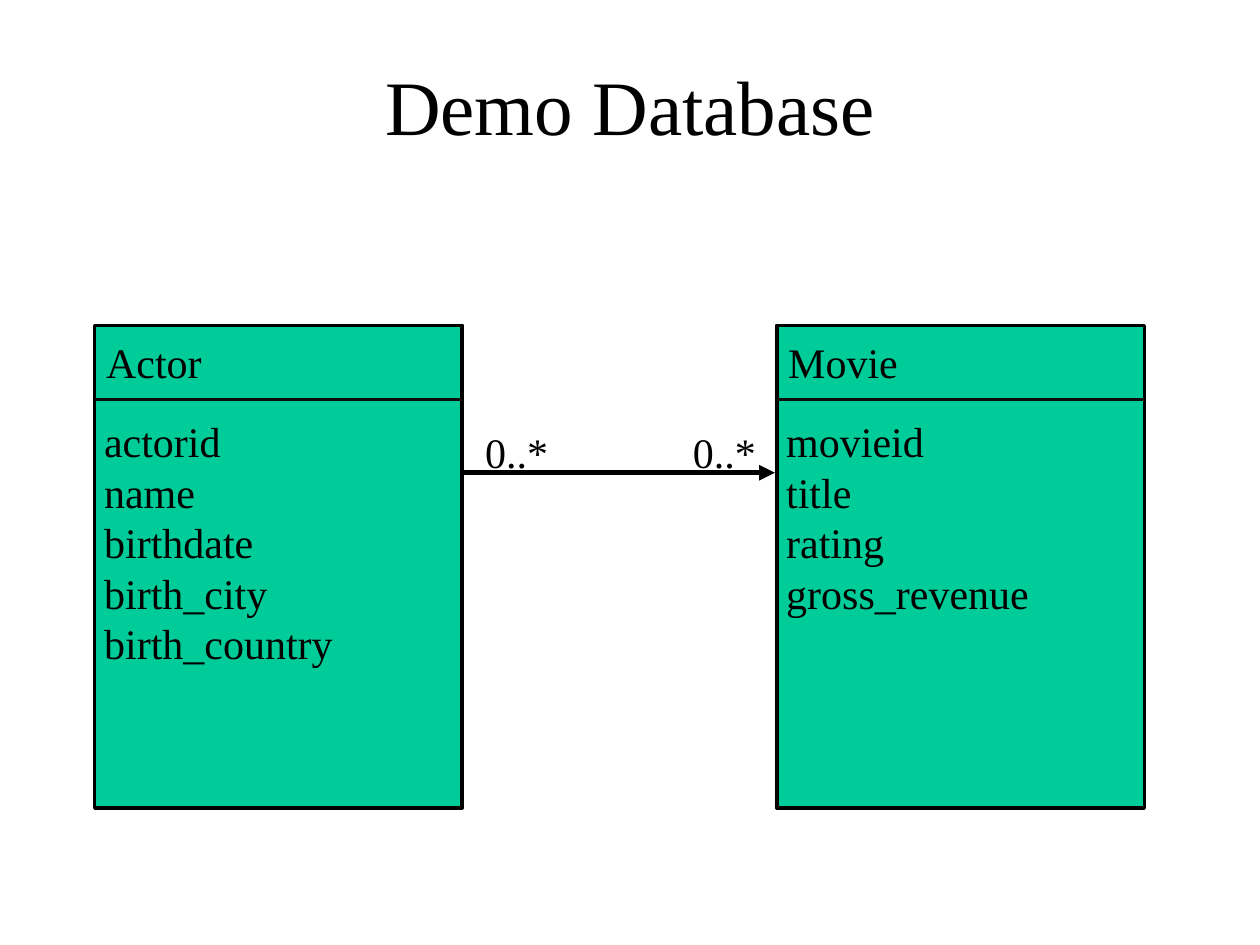
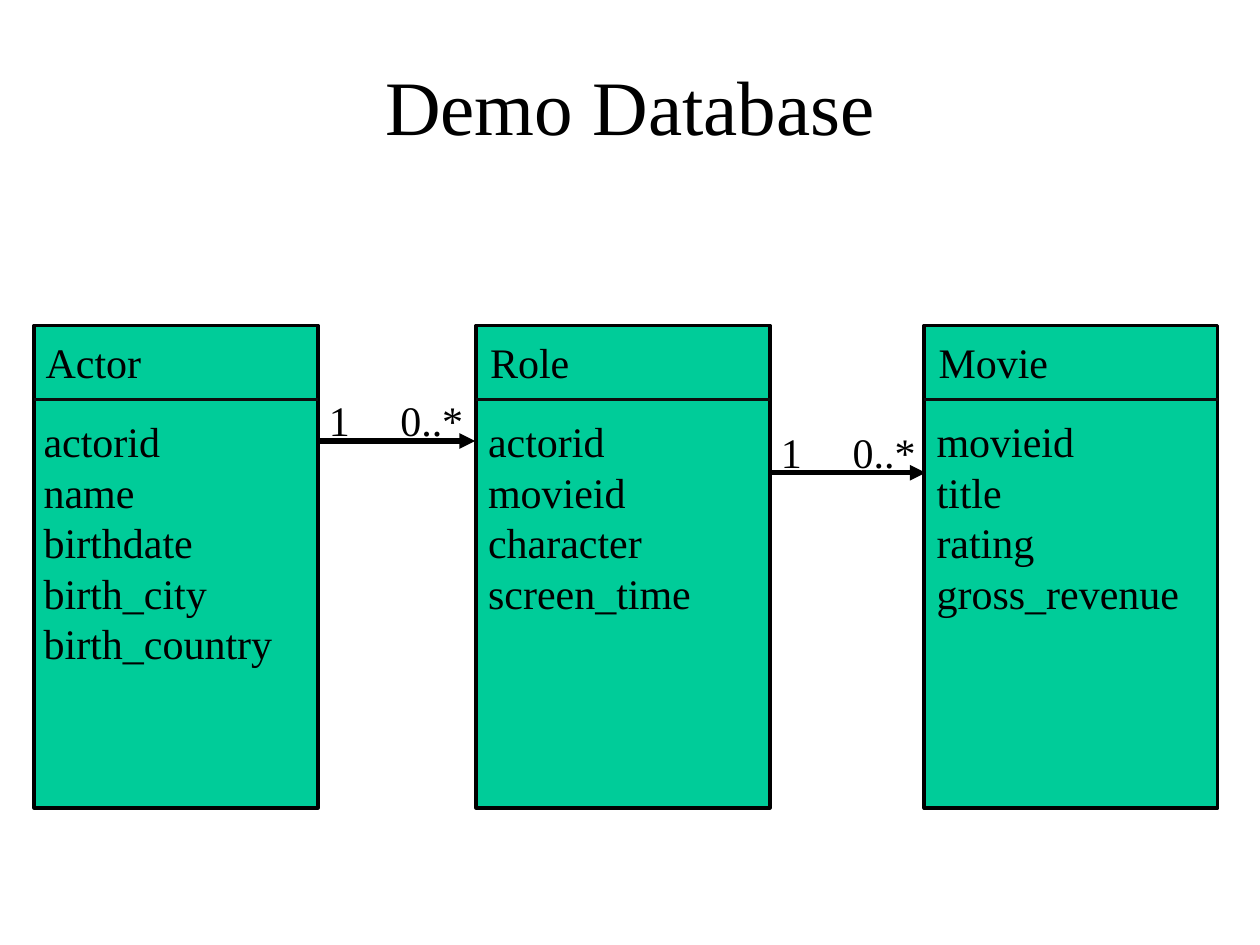
from lxml.etree import SubElement as Sub
from pptx import Presentation as Deck
from pptx.dml.color import RGBColor as Rgb
from pptx.enum.shapes import MSO_CONNECTOR as Conn, MSO_SHAPE as Shape
from pptx.enum.text import MSO_ANCHOR as Anchor, MSO_AUTO_SIZE as Auto, PP_ALIGN as Align
from pptx.oxml.ns import qn
from pptx.util import Cm, Pt

HUES = {"text": "000000", "box": "00CC99", "edge": "000000", "rule": "0D0D0D"}
TITLE = {"name": "Times New Roman", "size": Pt(44)}
BODY = {"name": "Times New Roman", "size": Pt(24)}

# Shared rows of every class box, in cm
TOP, HIGH = 6.56, 9.73
NAME_Y, RULE_Y, LIST_Y = 6.65, 8.05, 8.26
ROW, LABEL_H = 1.02, 1.27

ACTOR = ["actorid", "name", "birthdate", "birth_city", "birth_country"]
MOVIE = ["movieid", "title", "rating", "gross_revenue"]
ROLE = ["actorid", "movieid", "character", "screen_time"]

# Boxes: name, fields, left, width, text shift, text width
# Links: from x, to x, y, then (label, left, width) for each end
SLIDES = [
    {
        "boxes": [
            ("Actor", ACTOR, 1.91, 7.41, -0.02, 7.01),
            ("Movie", MOVIE, 15.66, 7.41, -0.02, 7.01),
        ],
        "links": [
            (9.32, 15.62, 9.53, [("0..*", 9.53, 1.91), ("0..*", 13.72, 1.91)]),
        ],
    },
    {
        "boxes": [
            ("Actor", ACTOR, 0.69, 5.72, -0.02, 5.77),
            ("Role", ROLE, 9.6, 5.92, 0.03, 5.46),
            ("Movie", MOVIE, 18.63, 5.92, 0.04, 5.46),
        ],
        "links": [
            (6.43, 9.58, 8.89, [("1", 6.38, 1.24), ("0..*", 7.82, 1.91)]),
            (15.52, 18.66, 9.53, [("1", 15.49, 1.24), ("0..*", 16.94, 1.91)]),
        ],
    },
]


def write(slide, lines, x, y, wide, high, style=BODY, align=Align.LEFT):
    box = slide.shapes.add_textbox(Cm(x), Cm(y), Cm(wide), Cm(high))
    frame = box.text_frame
    frame.word_wrap = True
    frame.text = "\n".join(lines)
    for para in frame.paragraphs:
        para.alignment = align
        for key, value in style.items():
            setattr(para.font, key, value)
        para.font.color.rgb = Rgb.from_string(HUES["text"])
    return frame


def draw(slide, x1, x2, y, hue, width, arrow=False):
    line = slide.shapes.add_connector(Conn.STRAIGHT, Cm(x1), Cm(y), Cm(x2), Cm(y))
    line.line.color.rgb = Rgb.from_string(HUES[hue])
    line.line.width = Pt(width)
    props = line._element.spPr
    if arrow:
        Sub(props.find(qn("a:ln")), qn("a:tailEnd"), type="triangle")
    Sub(props, qn("a:effectLst"))


deck = Deck()
deck.slide_width, deck.slide_height = Cm(25.4), Cm(19.05)

for plan in SLIDES:
    slide = deck.slides.add_slide(deck.slide_layouts[6])

    # Title
    head = write(slide, ["Demo Database"], 1.91, 0.85, 21.59, 2.54, TITLE, Align.CENTER)
    head.vertical_anchor = Anchor.MIDDLE

    # Class boxes
    for name, fields, x, wide, shift, span in plan["boxes"]:
        rect = slide.shapes.add_shape(Shape.RECTANGLE, Cm(x), Cm(TOP), Cm(wide), Cm(HIGH))
        rect.shadow.inherit = False
        rect.fill.solid()
        rect.fill.fore_color.rgb = Rgb.from_string(HUES["box"])
        rect.line.color.rgb = Rgb.from_string(HUES["edge"])
        rect.line.width = Pt(2)
        draw(slide, x, x + wide, RULE_Y, "rule", 1.5)
        left = x + shift
        high = ROW * len(fields) + 0.28
        title = write(slide, [name], left, NAME_Y, span, LABEL_H)
        rows = write(slide, fields, left - 0.04, LIST_Y, span, high)
        title.auto_size = rows.auto_size = Auto.SHAPE_TO_FIT_TEXT

    # Links with the counts at their ends
    for x1, x2, y, ends in plan["links"]:
        draw(slide, x1, x2, y, "edge", 3, arrow=True)
        for count, x, wide in ends:
            label = write(slide, [count], x, y - 1.06, wide, LABEL_H)
            label.auto_size = Auto.SHAPE_TO_FIT_TEXT

deck.save("out.pptx")
